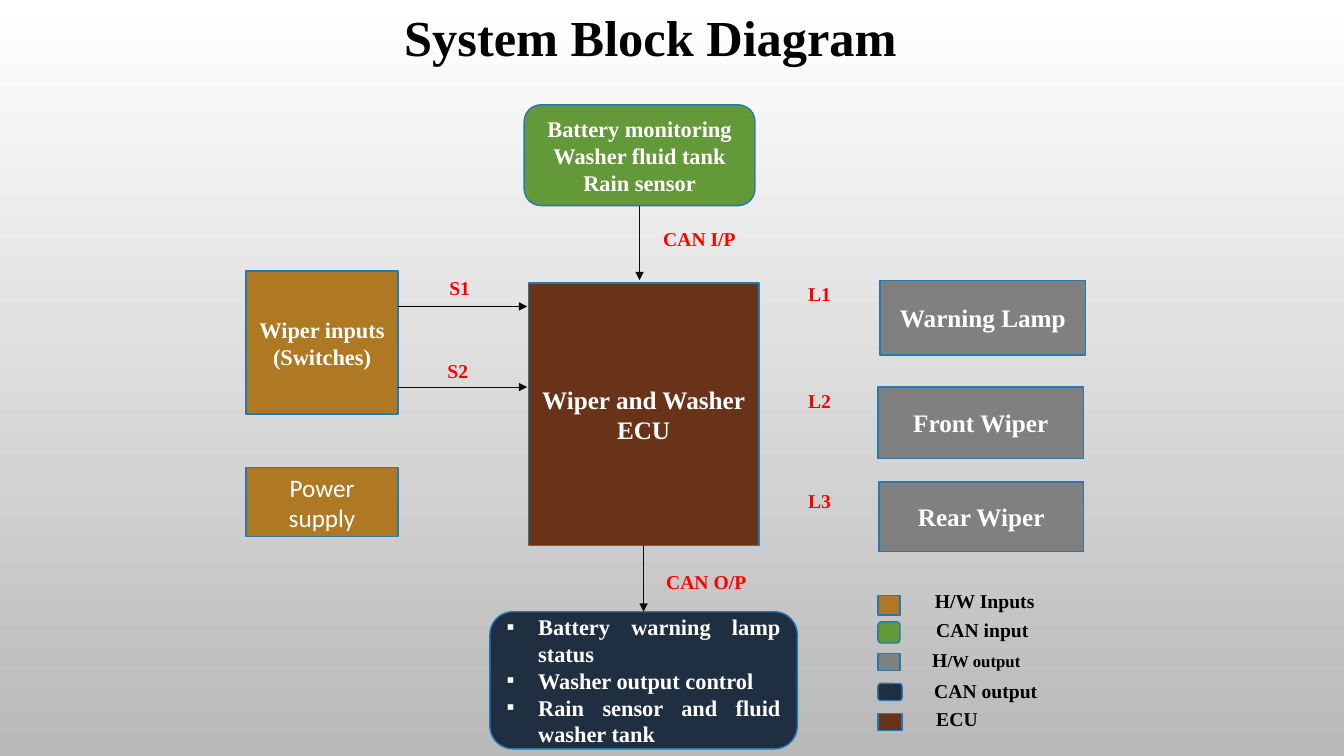
from dataclasses import dataclass

from lxml.etree import SubElement
from pptx import Presentation
from pptx.dml.color import RGBColor as Rgb
from pptx.enum.shapes import MSO_CONNECTOR as Conn, MSO_SHAPE as Form
from pptx.enum.text import MSO_ANCHOR as Anchor, MSO_AUTO_SIZE as Fit, PP_ALIGN as Align
from pptx.oxml.ns import qn
from pptx.util import Pt

SERIF = "Times New Roman"
HUES = {
    "input": "AF7823", "can_in": "649939", "output": "808080",
    "can_out": "1F2E41", "ecu": "683319", "edge": "2379B0",
    "white": "FFFFFF", "black": "000000", "red": "FF0000",
    "arrow": "0D0D0D", "dusk": "B9B9B9",
}


@dataclass
class Box:
    """A filled block or a legend chip."""
    x: float
    y: float
    w: float
    h: float
    fill: str
    text: str = ""
    size: float = 18
    round: bool = False
    font: str = SERIF
    bold: bool = True


@dataclass
class Label:
    """A loose text made of (text, size) runs."""
    x: float
    y: float
    w: float
    runs: tuple
    hue: str = "red"
    wrap: bool = True
    align: Align = Align.LEFT


BLOCKS = {
    "sensors": Box(374.4, 74.9, 164.9, 72, "can_in",
                   "Battery monitoring\nWasher fluid tank\nRain sensor", 16, True),
    "ecu": Box(377.3, 202.3, 164.9, 187.2, "ecu", "Wiper and Washer\nECU"),
    "inputs": Box(175.7, 193.7, 108.7, 102.2, "input", "Wiper inputs\n(Switches)", 16),
    "lamp": Box(628.6, 200.2, 146.9, 53.3, "output", "Warning Lamp"),
    "front": Box(627.1, 276.5, 146.9, 51.1, "output", "Front Wiper"),
    "rear": Box(627.8, 344.2, 146.2, 49.7, "output", "Rear Wiper"),
    "power": Box(175.7, 334.1, 108.7, 49, "input", "Power supply", 18,
                 font="Calibri", bold=False),
}
STATUS = Box(349.95, 437, 219.6, 97.9, "can_out",
             "Battery warning lamp status\nWasher output control\n"
             "Rain sensor and fluid washer tank", 16, True)
CHIPS = [
    Box(627.1, 425.5, 15.8, 13.7, "input"),
    Box(627.1, 444.2, 15.8, 15.1, "can_in", round=True),
    Box(627.1, 466.6, 15.8, 12.2, "output"),
    Box(627.1, 488.2, 17.3, 12.2, "can_out", round=True),
    Box(627.1, 509.8, 17.3, 12.2, "ecu"),
]
LABELS = [
    Label(570.2, 198, 44, (("L1", 14),)),
    Label(570.2, 274.3, 44, (("L2", 14),)),
    Label(570.2, 345.6, 44, (("L3", 14),)),
    Label(313.9, 193.7, 44, (("S1", 14),)),
    Label(312.5, 252.7, 48, (("S2", 14),)),
    Label(466.6, 158.4, 74, (("CAN I/P", 14),)),
    Label(468.7, 403.2, 93, (("CAN O/P", 14),)),
    Label(660.2, 416.9, 86.4, (("H/W Inputs", 14),), "black", False, Align.CENTER),
    Label(661.7, 437.8, 84.2, (("CAN input", 14),), "black", False),
    Label(658.8, 459.4, 77.8, (("H", 14), ("/W output", 12)), "black", False),
    Label(660.2, 481.7, 92.2, (("CAN output", 14),), "black", False),
    Label(661.7, 501.1, 55.4, (("ECU", 14),), "black"),
]


def rgb(hue: str) -> Rgb:
    """Look up a named colour."""
    return Rgb.from_string(HUES[hue])


def style(font, size: float, hue: str, name: str = SERIF, bold: bool = True) -> None:
    """Set size, colour, face and weight."""
    font.size, font.name, font.bold = Pt(size), name, bold
    font.color.rgb = rgb(hue)


def place(shape, x: float, y: float, w: float, h: float) -> None:
    """Move and size a shape."""
    shape.left, shape.top, shape.width, shape.height = Pt(x), Pt(y), Pt(w), Pt(h)


def paint(shape, fill: str) -> None:
    """Give a shape its fill and blue edge."""
    shape.fill.solid()
    shape.fill.fore_color.rgb = rgb(fill)
    shape.line.color.rgb = rgb("edge")
    shape.line.width = Pt(1)


def draw_box(slide, box: Box):
    """Draw a block with centred text."""
    form = Form.ROUNDED_RECTANGLE if box.round else Form.RECTANGLE
    shape = slide.shapes.add_shape(form, Pt(box.x), Pt(box.y), Pt(box.w), Pt(box.h))
    shape.shadow.inherit = False
    paint(shape, box.fill)
    if box.text:
        frame = shape.text_frame
        frame.text, frame.word_wrap = box.text, True
        frame.vertical_anchor = Anchor.MIDDLE
        for para in frame.paragraphs:
            para.alignment = Align.CENTER
            style(para.font, box.size, "white", box.font, box.bold)
    return shape


def draw_label(slide, label: Label) -> None:
    """Draw a loose bold text."""
    shape = slide.shapes.add_textbox(Pt(label.x), Pt(label.y), Pt(label.w), Pt(24.5))
    frame = shape.text_frame
    frame.word_wrap, frame.auto_size = label.wrap, Fit.SHAPE_TO_FIT_TEXT
    para = frame.paragraphs[0]
    para.alignment = label.align
    for text, size in label.runs:
        run = para.add_run()
        run.text = text
        if len(label.runs) > 1:
            style(run.font, size, label.hue)
    if len(label.runs) == 1:
        style(para.font, label.runs[0][1], label.hue)


def draw_arrow(slide, x: float, y: float, to_x: float, to_y: float, hue: str = "arrow"):
    """Draw a thin arrow."""
    line = slide.shapes.add_connector(Conn.STRAIGHT, Pt(x), Pt(y), Pt(to_x), Pt(to_y))
    line.line.color.rgb = rgb(hue)
    line.line.width = Pt(0.5)
    SubElement(line.line._get_or_add_ln(), qn("a:tailEnd"), type="triangle")
    SubElement(line._element.spPr, qn("a:effectLst"))
    return line


def fill_title(title) -> None:
    """Set the heading."""
    place(title, 281.5, 0.7, 370, 51.1)
    frame = title.text_frame
    frame.text = "System Block Diagram"
    frame.word_wrap, frame.auto_size = False, Fit.SHAPE_TO_FIT_TEXT
    frame.vertical_anchor = Anchor.TOP
    para = frame.paragraphs[0]
    para.alignment = Align.LEFT
    style(para.font, 36, "black")


def fill_list(body, box: Box) -> None:
    """Turn the body into the rounded status list."""
    place(body, box.x, box.y, box.w, box.h)
    geom = SubElement(body._element.spPr, qn("a:prstGeom"), prst="roundRect")
    SubElement(geom, qn("a:avLst"))
    paint(body, box.fill)
    frame = body.text_frame
    frame.text, frame.word_wrap = box.text, True
    frame.auto_size, frame.vertical_anchor = Fit.NONE, Anchor.MIDDLE
    for para in frame.paragraphs:
        para.alignment, para.space_before = Align.JUSTIFY, Pt(0)
        props = para._p.get_or_add_pPr()
        props.set("marL", str(Pt(22.5)))
        props.set("indent", str(-Pt(22.5)))
        SubElement(props, qn("a:buChar"), char="▪")
        style(para.font, box.size, "white")


def main() -> None:
    """Build and save the slide."""
    deck = Presentation()
    deck.slide_width, deck.slide_height = Pt(960), Pt(540)
    slide = deck.slides.add_slide(deck.slide_layouts[1])
    back = slide.background.fill
    back.gradient()
    back.gradient_angle = 270
    for stop, hue in zip(back.gradient_stops, ("white", "dusk")):
        stop.color.rgb = rgb(hue)
    fill_title(slide.shapes.title)
    body = slide.placeholders[1]
    fill_list(body, STATUS)
    nodes = {key: draw_box(slide, box) for key, box in BLOCKS.items()}
    for chip in CHIPS:
        draw_box(slide, chip)
    for label in LABELS:
        draw_label(slide, label)
    for y, hue in ((218.9, "black"), (276.5, "arrow")):
        draw_arrow(slide, 284.4, y, 376.6, y, hue)
    draw_arrow(slide, 456.85, 146.9, 456.85, 200.2).begin_connect(nodes["sensors"], 2)
    drop = draw_arrow(slide, 459.75, 389.5, 459.75, 437)
    drop.begin_connect(nodes["ecu"], 2)
    drop.end_connect(body, 0)
    deck.save("out.pptx")


if __name__ == "__main__":
    main()
